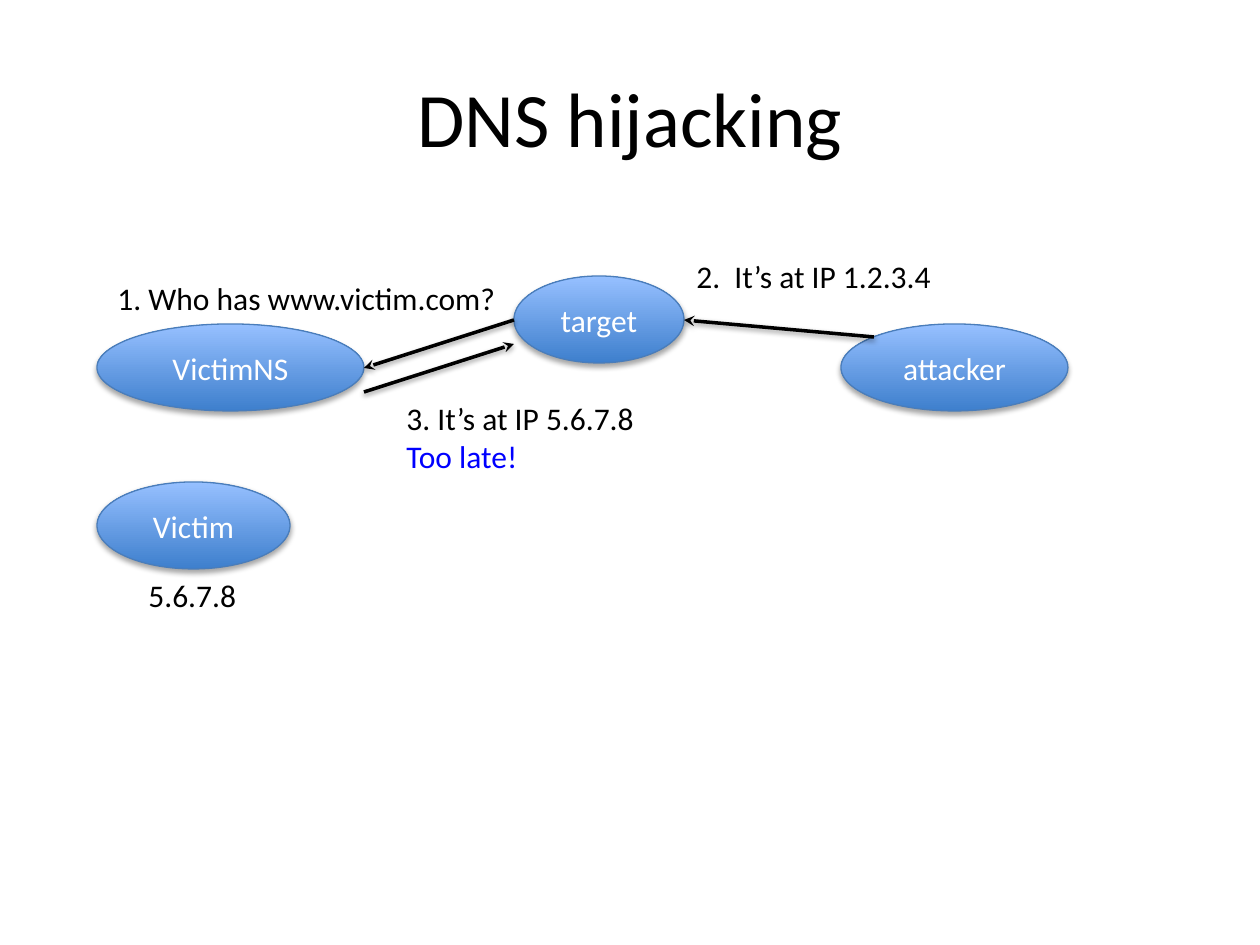
from lxml.etree import SubElement
from pptx import Presentation
from pptx.dml.color import RGBColor
from pptx.enum.shapes import MSO_CONNECTOR, MSO_SHAPE
from pptx.enum.text import MSO_ANCHOR, PP_ALIGN
from pptx.oxml.ns import qn
from pptx.util import Emu, Pt

BLACK = RGBColor(0x00, 0x00, 0x00)
WHITE = RGBColor(0xFF, 0xFF, 0xFF)
BLUE = RGBColor(0x00, 0x00, 0xFF)
OVAL_DARK = RGBColor(0x3E, 0x7F, 0xCD)
OVAL_LIGHT = RGBColor(0x96, 0xC0, 0xFF)
OVAL_EDGE = RGBColor(0x4A, 0x7D, 0xBA)


class DiagramSlide:
    """Draws the parts of a network diagram on one slide, in pixels."""

    scale = 914400 // 126
    font_name = "Calibri"
    body_size = 18
    title_size = 44
    oval_height = 87

    def __init__(self, deck):
        self.page = deck.slides.add_slide(deck.slide_layouts[5])

    def lengths(self, *pixels):
        return [Emu(pixel * self.scale) for pixel in pixels]

    def set_lines(self, frame, lines, size, align):
        frame.text = "\n".join(text for text, color in lines)
        for para, (text, color) in zip(frame.paragraphs, lines):
            para.alignment = align
            para.font.name = self.font_name
            para.font.size = Pt(size)
            para.font.color.rgb = color

    def cast_shadow(self, effects, opacity, distance):
        shadow = SubElement(effects, qn("a:outerShdw"), blurRad=str(Pt(3.1)),
                            dist=str(Pt(distance)), dir="5400000", rotWithShape="0")
        color = SubElement(shadow, qn("a:srgbClr"), val=str(BLACK))
        SubElement(color, qn("a:alpha"), val=str(opacity * 1000))

    def title(self, text, left, top, width, height):
        box = self.page.shapes.title
        box.left, box.top, box.width, box.height = self.lengths(left, top, width, height)
        box.text_frame.vertical_anchor = MSO_ANCHOR.MIDDLE
        self.set_lines(box.text_frame, [(text, BLACK)], self.title_size, PP_ALIGN.CENTER)

    def host(self, name, left, top, width):
        oval = self.page.shapes.add_shape(
            MSO_SHAPE.OVAL, *self.lengths(left, top, width, self.oval_height))
        oval.fill.gradient()
        oval.fill.gradient_angle = 90
        for stop, color in zip(oval.fill.gradient_stops, (OVAL_DARK, OVAL_LIGHT)):
            stop.color.rgb = color
        oval.line.color.rgb = OVAL_EDGE
        oval.line.width = Pt(0.75)
        oval.shadow.inherit = False
        self.cast_shadow(oval._element.spPr.find(qn("a:effectLst")), 35, 1.8)
        oval.text_frame.word_wrap = True
        oval.text_frame.vertical_anchor = MSO_ANCHOR.MIDDLE
        self.set_lines(oval.text_frame, [(name, WHITE)], self.body_size, PP_ALIGN.CENTER)

    def arrow(self, *ends):
        link = self.page.shapes.add_connector(MSO_CONNECTOR.STRAIGHT, *self.lengths(*ends))
        link.line.color.rgb = BLACK
        link.line.width = Pt(2)
        properties = link._element.spPr
        SubElement(properties.find(qn("a:ln")), qn("a:tailEnd"), type="stealth")
        self.cast_shadow(SubElement(properties, qn("a:effectLst")), 38, 1.6)

    def label(self, lines, left, top, width, height=50):
        box = self.page.shapes.add_textbox(*self.lengths(left, top, width, height))
        box.text_frame.word_wrap = False
        self.set_lines(box.text_frame, lines, self.body_size, PP_ALIGN.LEFT)


deck = Presentation()
deck.slide_width, deck.slide_height = Emu(9144000), Emu(6858000)
slide = DiagramSlide(deck)
slide.title("DNS hijacking", 63, 38, 1134, 158)

for name, left, top, width in (
    ("VictimNS", 97, 324, 267),
    ("attacker", 841, 324, 227),
    ("target", 514, 276, 170),
    ("Victim", 97, 482, 193),
):
    slide.host(name, left, top, width)

slide.arrow(874, 337, 684, 320)
slide.arrow(514, 320, 364, 368)
slide.arrow(364, 392, 514, 344)

slide.label([("5.6.7.8", BLACK)], 136, 570, 113)
slide.label([("1. Who has www.victim.com?", BLACK)], 105, 273, 411)
slide.label([("2.  It’s at IP 1.2.3.4", BLACK)], 684, 251, 265)
slide.label([("3. It’s at IP 5.6.7.8", BLACK), ("Too late!", BLUE)], 394, 393, 257, 89)

deck.save("out.pptx")
